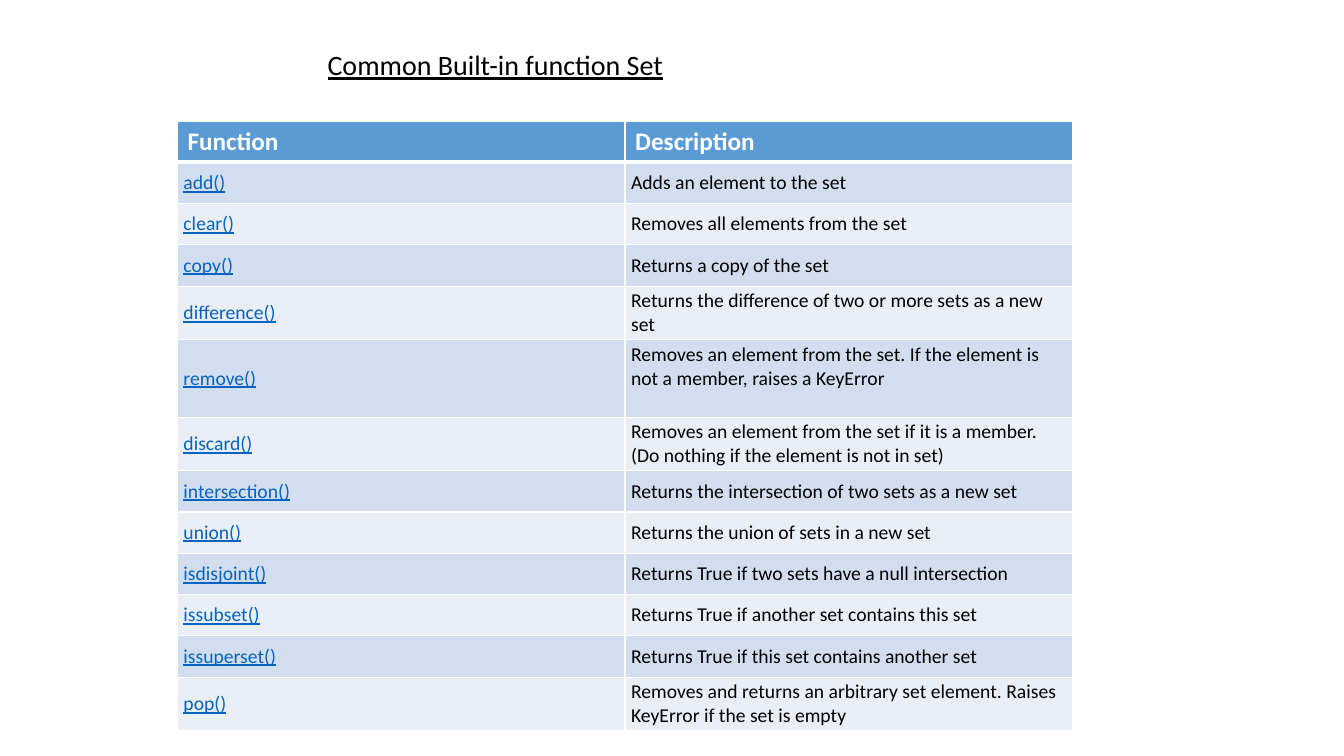
from lxml import etree
from pptx import Presentation
from pptx.dml.color import RGBColor
from pptx.enum.text import MSO_ANCHOR as Anchor, PP_ALIGN as Align
from pptx.oxml.ns import qn
from pptx.util import Inches, Pt

COLORS = {"header": "5B9BD5", "odd": "D2DEEF", "even": "EAEFF7",
          "white": "FFFFFF", "black": "000000", "link": "0563C1"}
HEADINGS = ("Function", "Description")
FUNCTIONS = [
    ("add()", "Adds an element to the set"),
    ("clear()", "Removes all elements from the set"),
    ("copy()", "Returns a copy of the set"),
    ("difference()", "Returns the difference of two or more sets as a new set"),
    ("remove()", "Removes an element from the set. If the element is not a member, "
                 "raises a KeyError"),
    ("discard()", "Removes an element from the set if it is a member. "
                  "(Do nothing if the element is not in set)"),
    ("intersection()", "Returns the intersection of two sets as a new set"),
    ("union()", "Returns the union of sets in a new set"),
    ("isdisjoint()", "Returns True if two sets have a null intersection"),
    ("issubset()", "Returns True if another set contains this set"),
    ("issuperset()", "Returns True if this set contains another set"),
    ("pop()", "Removes and returns an arbitrary set element. Raises KeyError "
              "if the set is empty"),
]
ROW_HEIGHT = 0.41
TALL_ROWS = {"difference()": 0.53, "remove()": 0.77, "discard()": 0.53, "pop()": 0.53}


def write(frame, text, color, **font_values):
    """Put one formatted run into a text frame and return its paragraph."""
    para = frame.paragraphs[0]
    span = para.add_run()
    span.text = text
    span.font.color.rgb = RGBColor.from_string(COLORS[color])
    for name, value in {"name": "Calibri", **font_values}.items():
        setattr(span.font, name, value)
    return para


def add_borders(cell, widths):
    """Draw white cell borders; widths maps a:lnX tags to points."""
    properties = cell._tc.get_or_add_tcPr()
    for tag, width in widths.items():
        line = etree.SubElement(properties, qn(tag), w=str(Pt(width)))
        fill = etree.SubElement(line, qn("a:solidFill"))
        etree.SubElement(fill, qn("a:srgbClr"), val=COLORS["white"])


deck = Presentation()
deck.slide_width, deck.slide_height = Inches(13.33), Inches(7.5)
page = deck.slides.add_slide(deck.slide_layouts[6])

title = page.shapes.add_textbox(Inches(3.15), Inches(0.25), Inches(4.92), Inches(0.82))
title.text_frame.word_wrap = True
title.text_frame.vertical_anchor = Anchor.MIDDLE
title_para = write(title.text_frame, "Common Built-in function Set", "black",
                   size=Pt(20), underline=True)
title_para.alignment = Align.LEFT
title_para.line_spacing = 0.9

rows = [HEADINGS, *FUNCTIONS]
heights = [TALL_ROWS.get(name, ROW_HEIGHT) for name, _ in rows]
table = page.shapes.add_table(len(rows), len(HEADINGS), Inches(1.76), Inches(1.2),
                              Inches(8.89), Inches(sum(heights))).table
for column in table.columns:
    column.width = Inches(4.44)

for row_index, (texts, height) in enumerate(zip(rows, heights)):
    table.rows[row_index].height = Inches(height)
    is_header = row_index == 0
    band = "header" if is_header else "odd" if row_index % 2 else "even"
    for column_index, text in enumerate(texts):
        cell = table.cell(row_index, column_index)
        add_borders(cell, {"a:lnL": 1, "a:lnR": 1,
                           "a:lnT": 3 if row_index == 1 else 1,
                           "a:lnB": 3 if is_header else 1})
        cell.fill.solid()
        cell.fill.fore_color.rgb = RGBColor.from_string(COLORS[band])
        if is_header:
            write(cell.text_frame, text, "white", size=Pt(18), bold=True)
            continue
        is_name = column_index == 0
        cell.vertical_anchor = Anchor.MIDDLE
        cell.margin_left = cell.margin_right = Inches(0.06)
        cell.margin_top = cell.margin_bottom = Inches(0.03)
        if texts[0] == "remove()" and not is_name:
            cell.margin_bottom = Inches(0.26)
        write(cell.text_frame, text, "link" if is_name else "black",
              size=Pt(14), bold=False, underline=is_name)

deck.save("out.pptx")
